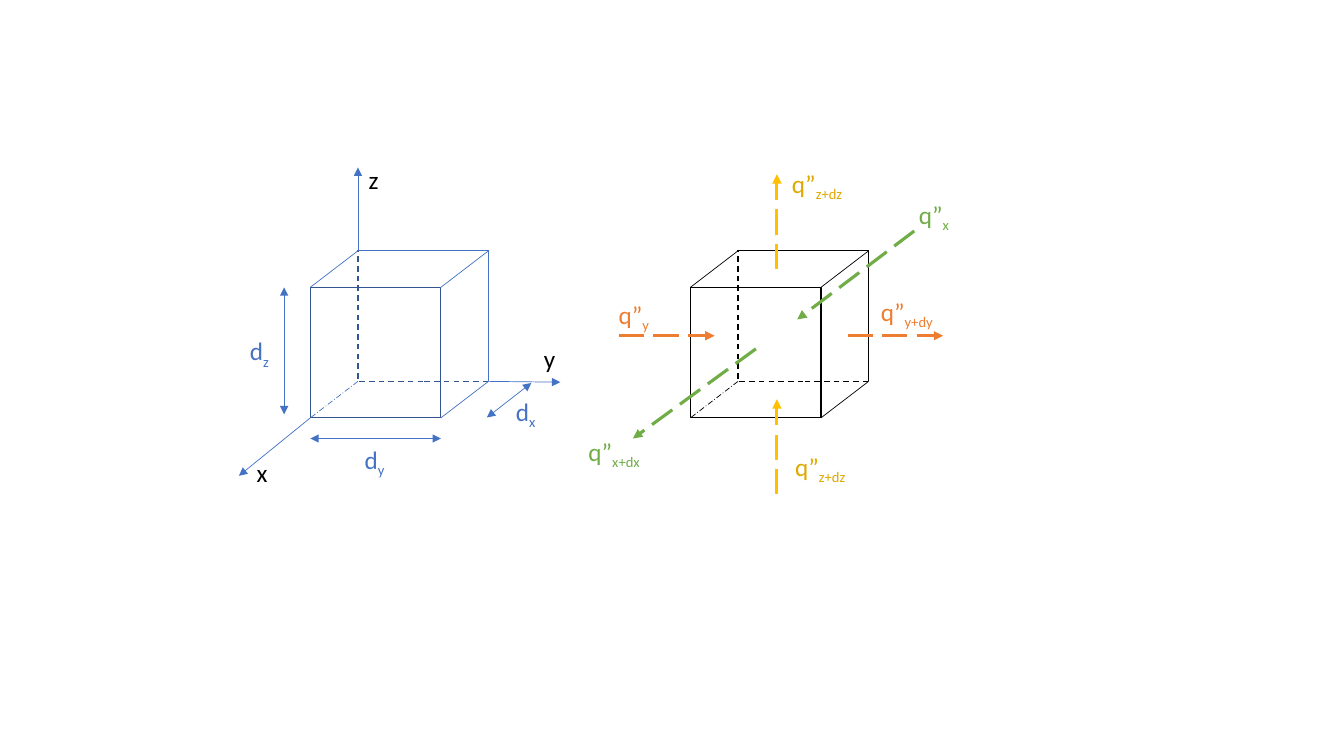
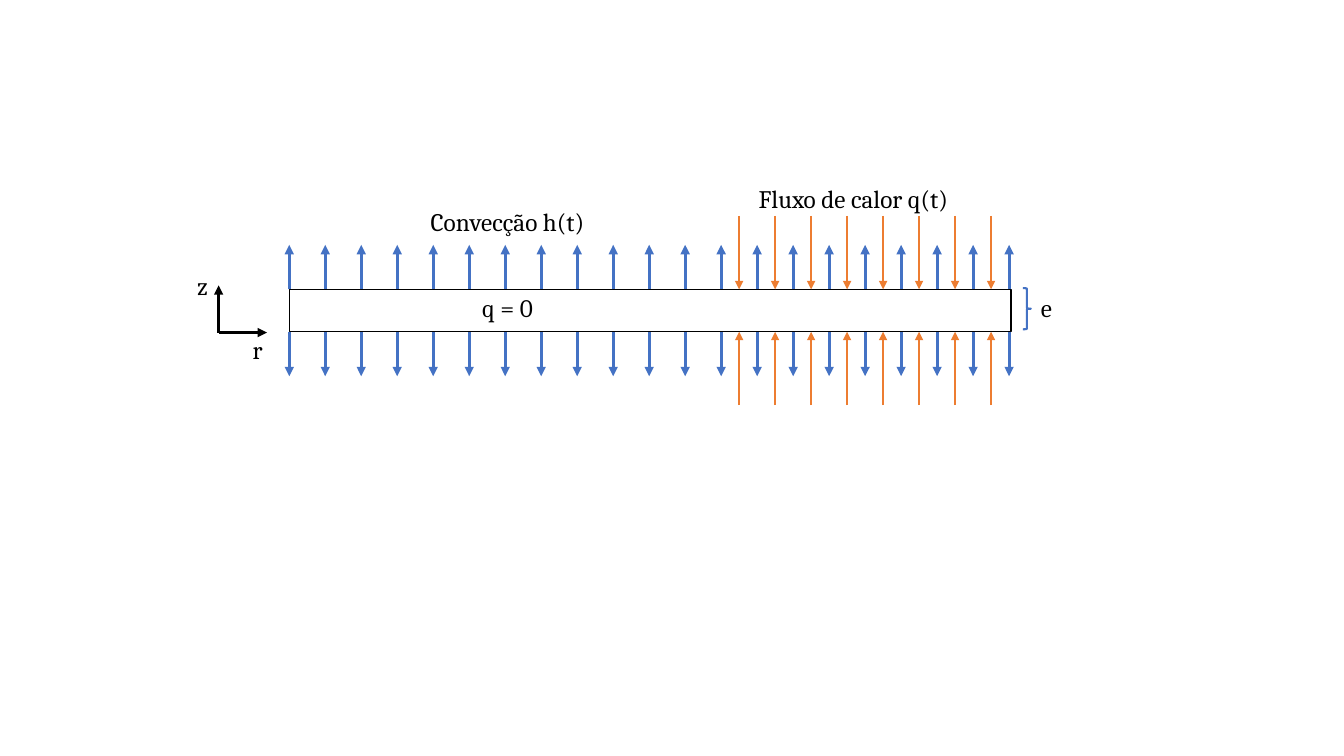
from dataclasses import dataclass

from pptx import Presentation
from pptx.dml.color import RGBColor
from pptx.enum.dml import MSO_LINE
from pptx.enum.shapes import MSO_CONNECTOR, MSO_SHAPE
from pptx.enum.text import MSO_AUTO_SIZE, PP_ALIGN
from pptx.oxml.ns import qn
from pptx.oxml.xmlchemy import OxmlElement
from pptx.util import Cm, Pt

STRAIGHT = MSO_CONNECTOR.STRAIGHT
RECTANGLE, RIGHT_BRACE = MSO_SHAPE.RECTANGLE, MSO_SHAPE.RIGHT_BRACE
DASH, LONG_DASH, LONG_DASH_DOT = MSO_LINE.DASH, MSO_LINE.LONG_DASH, MSO_LINE.LONG_DASH_DOT
LEFT, CENTER = PP_ALIGN.LEFT, PP_ALIGN.CENTER
FIT_TEXT = MSO_AUTO_SIZE.SHAPE_TO_FIT_TEXT
SUBSCRIPT = "-25000"
BLANK_LAYOUT = 6


@dataclass(frozen=True)
class Theme:
    black: str = "000000"
    blue: str = "4472C4"
    dark_blue: str = "325491"
    orange: str = "ED7D31"
    green: str = "70AD47"
    gold: str = "FFC000"
    dark_gold: str = "DEA900"
    sans: str = "Calibri"
    serif: str = "Cambria"
    text_size: float = 18
    hairline: float = 0.5
    thin: float = 1
    medium: float = 1.5
    thick: float = 2.25


THEME = Theme()


@dataclass(frozen=True)
class Region:
    """A part of a slide; its drawing methods take lengths in cm from its corner."""
    slide: object
    left: float
    top: float
    width: float
    height: float

    def place(self, x, y):
        return Cm(self.left + x), Cm(self.top + y)

    def line(self, start, end, color, weight, dash=None, ends=("tailEnd",)):
        connector = self.slide.shapes.add_connector(
            STRAIGHT, *self.place(*start), *self.place(*end))
        format_line(connector, color, weight, dash)
        properties = connector._element.spPr
        outline = properties.find(qn("a:ln"))
        for name in ends:
            arrowhead = OxmlElement(f"a:{name}")
            arrowhead.set("type", "triangle")
            outline.append(arrowhead)
        properties.append(OxmlElement("a:effectLst"))

    def outline(self, kind, x, y, width, height, color, weight, dash=None):
        shape = self.slide.shapes.add_shape(kind, *self.place(x, y), Cm(width), Cm(height))
        shape.shadow.inherit = False
        shape.fill.background()
        format_line(shape, color, weight, dash)

    def label(self, text, x, y, width, color=THEME.black, font=THEME.sans,
              subscript="", alignment=LEFT):
        box = self.slide.shapes.add_textbox(*self.place(x, y), Cm(width), Cm(1.02))
        frame = box.text_frame
        frame.word_wrap = False
        frame.auto_size = FIT_TEXT
        paragraph = frame.paragraphs[0]
        paragraph.alignment = alignment
        for part in filter(None, (text, subscript)):
            run = paragraph.add_run()
            run.text = part
            for name, value in {"name": font, "size": Pt(THEME.text_size)}.items():
                setattr(run.font, name, value)
            run.font.color.rgb = RGBColor.from_string(color)
        if subscript:
            run.font._element.set("baseline", SUBSCRIPT)


def format_line(shape, color, weight, dash):
    shape.line.color.rgb = RGBColor.from_string(color)
    for name, value in {"width": Pt(weight), "dash_style": dash}.items():
        setattr(shape.line, name, value)


def draw_cube(region, face_color, edge_color):
    """Draw a front and a back face, joined by edges, that fill the region."""
    side = 3.29
    shift, rise = region.width - side, region.height - side
    region.outline(RECTANGLE, shift, 0, side, side, face_color, THEME.thin, DASH)
    region.outline(RECTANGLE, 0, rise, side, side, face_color, THEME.thin)
    for x, y, dash in ((0, 0, None), (side, 0, None), (side, side, None),
                       (0, side, LONG_DASH_DOT)):
        region.line((x + shift, y), (x, y + rise), edge_color, THEME.hairline, dash, ends=())
    corner = (region.width, 0)
    for end in ((shift, 0), (region.width, side)):
        region.line(corner, end, edge_color, THEME.hairline, ends=())


def draw_dimensioned_cube(region):
    draw_cube(region, THEME.dark_blue, THEME.blue)
    axes = (
        ("x", (0, 4.21), (-1.8, 5.67), (-1.6, 5.08)),
        ("y", (4.49, 3.29), (6.3, 3.31), (5.64, 2.21)),
        ("z", (1.2, 0), (1.2, -2.1), (1.22, -2.31)),
    )
    for name, start, end, label_at in axes:
        region.line(start, end, THEME.blue, THEME.hairline)
        region.label(name, *label_at, 0.8)

    dimensions = (
        ("x", (5.57, 3.33), (4.45, 4.2), (4.93, 3.54)),
        ("y", (0, 4.73), (3.29, 4.73), (1.12, 4.75)),
        ("z", (-0.66, 0.92), (-0.66, 4.12), (-1.77, 2.01)),
    )
    for name, start, end, label_at in dimensions:
        region.line(start, end, THEME.blue, THEME.hairline, ends=("headEnd", "tailEnd"))
        region.label("d", *label_at, 1.04, THEME.blue, subscript=name)


def draw_flux_cube(region):
    draw_cube(region, THEME.black, THEME.black)
    green, orange = (THEME.green,) * 2, (THEME.orange,) * 2
    gold = (THEME.gold, THEME.dark_gold)
    fluxes = (
        ("x", green, (5.64, -0.5), (2.69, 1.73), (5.51, -1.42, 1.3)),
        ("x+dx", green, (1.65, 2.47), (-1.45, 4.73), (-2.82, 4.55, 1.9)),
        ("y", orange, (-1.8, 2.14), (0.61, 2.14), (-2.06, 1.1, 1.3)),
        ("y+dy", orange, (3.96, 2.14), (6.37, 2.14), (4.55, 1.02, 1.93)),
        ("z+dz", gold, (2.18, 6.13), (2.18, 3.74), (2.39, 4.93, 1.88)),
        ("z+dz", gold, (2.18, 0.46), (2.18, -1.93), (2.31, -2.21, 1.88)),
    )
    for name, (line_color, text_color), start, end, label_box in fluxes:
        region.line(start, end, line_color, THEME.thick, LONG_DASH)
        region.label("q”", *label_box, text_color, subscript=name)


def draw_plate_arrows(region):
    """Draw convection leaving both faces, and heat flux entering between its last arrows."""
    convection_count, flux_count = 21, 8
    convection_length, flux_length = 1.12, 1.85
    pitch = (region.width - 0.05) / (convection_count - 1)
    flux_start = (convection_count - flux_count - 0.5) * pitch
    for face, outward in ((0, -1), (region.height, 1)):
        for index in range(convection_count):
            x = index * pitch
            region.line((x, face), (x, face + outward * convection_length),
                        THEME.blue, THEME.thick)
        for index in range(flux_count):
            x = flux_start + index * pitch
            region.line((x, face + outward * flux_length), (x, face),
                        THEME.orange, THEME.medium)


def draw_plate(region):
    region.outline(RECTANGLE, 0, 0, region.width, region.height, THEME.black, THEME.thin)
    draw_plate_arrows(region)
    region.outline(RIGHT_BRACE, region.width + 0.3, -0.03, 0.2, 1.04,
                   THEME.blue, THEME.medium)
    axis_corner = (-1.78, 1.09)
    for end in ((-1.78, -0.1), (-0.56, 1.09)):
        region.line(axis_corner, end, THEME.black, THEME.thick)
    labels = (
        ("Convecção h(t)", 3.1, -2.21, 4.8, CENTER),
        ("q = 0", 3.1, -0.05, 4.8, CENTER),
        ("Fluxo de calor q(t)", 11.58, -2.79, 5.84, LEFT),
        ("z", -2.57, -0.61, 0.79, LEFT),
        ("r", -1.17, 1.02, 0.76, LEFT),
        ("e", region.width + 0.5, -0.05, 0.79, LEFT),
    )
    for text, x, y, width, alignment in labels:
        region.label(text, x, y, width, font=THEME.serif, alignment=alignment)


def main():
    presentation = Presentation()
    presentation.slide_width, presentation.slide_height = Cm(33.87), Cm(19.05)
    blank = presentation.slide_layouts[BLANK_LAYOUT]

    cube_slide = presentation.slides.add_slide(blank)
    draw_dimensioned_cube(Region(cube_slide, 7.82, 6.32, 4.49, 4.21))
    draw_flux_cube(Region(cube_slide, 17.4, 6.32, 4.49, 4.21))

    plate_slide = presentation.slides.add_slide(blank)
    draw_plate(Region(plate_slide, 7.29, 7.29, 18.19, 1.07))

    presentation.save("out.pptx")


if __name__ == "__main__":
    main()
